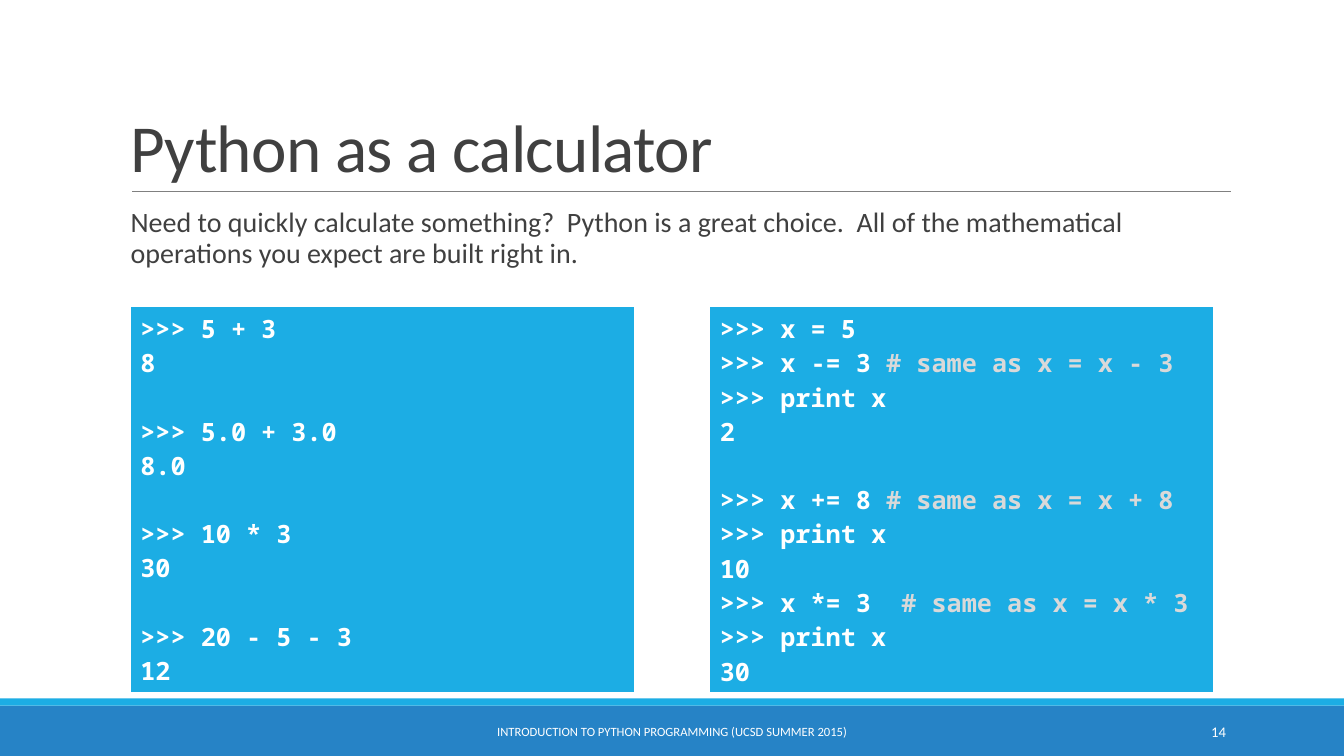
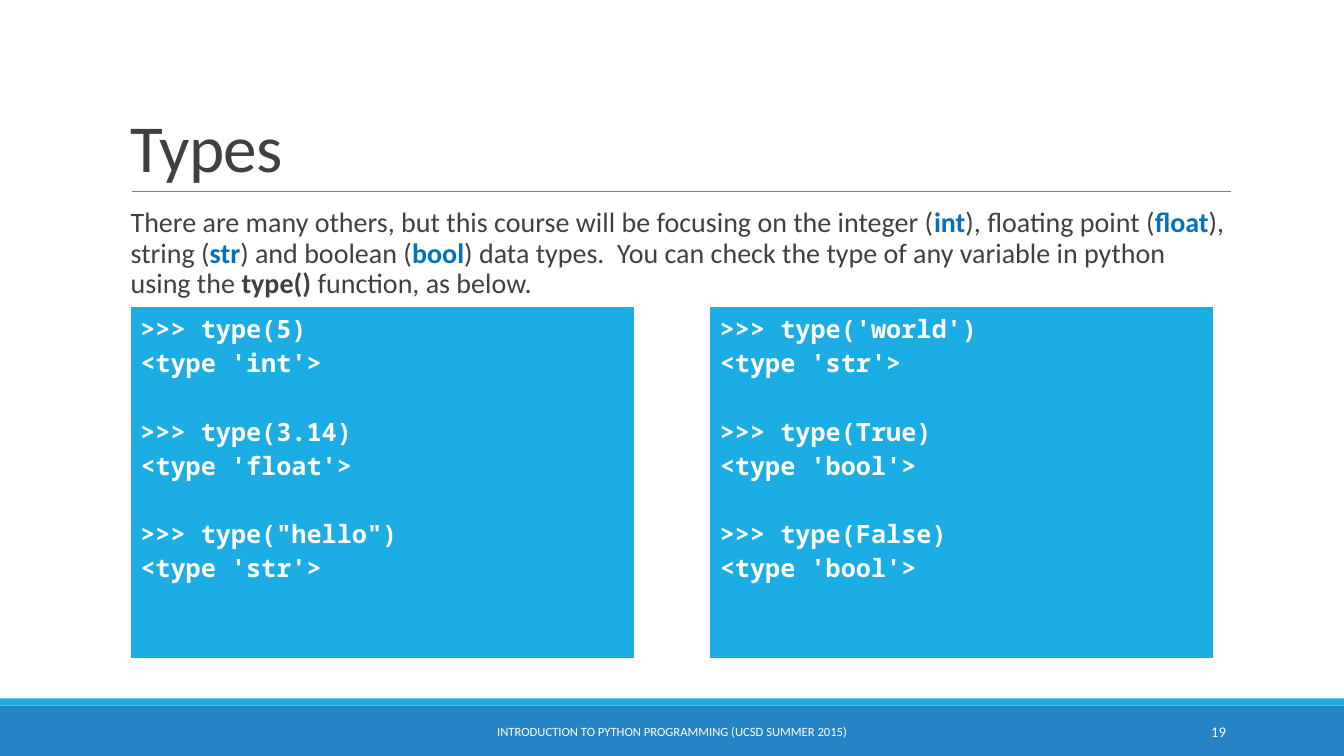
from dataclasses import dataclass

from lxml.etree import SubElement
from pptx import Presentation
from pptx.dml.color import RGBColor
from pptx.enum.shapes import MSO_CONNECTOR as Connector, MSO_SHAPE as Shape
from pptx.enum.text import MSO_ANCHOR as Anchor, PP_ALIGN as Align
from pptx.oxml import parse_xml
from pptx.oxml.ns import nsdecls, qn
from pptx.util import Emu, Pt


@dataclass(frozen=True)
class Theme:
    text_font: str = "Calibri"
    code_font: str = "Noto Sans Mono"
    ink: str = "404040"
    keyword: str = "0070C0"
    rule: str = "808080"
    band: str = "2683C6"
    accent: str = "1CADE4"
    white: str = "FFFFFF"
    comment: str = "D9D9D9"
    title_size: float = 48
    body_size: float = 20
    code_size: float = 18
    number_size: float = 10.5
    footer_size: float = 9
    code_gap: float = 24.3


THEME = Theme()
PAGE_WIDTH, PAGE_HEIGHT = 1280, 720
CODE_TOP, CODE_WIDTH = 292, 480
CODE_LEFTS = (124, 676)
SHORT_CODE, TALL_CODE = 336, 369
FOOTER = "INTRODUCTION TO PYTHON PROGRAMMING (UCSD SUMMER 2015)"

CALCULATOR_BODY = [
    ("Need to quickly calculate something?  Python is a great choice.  "
     "All of the mathematical operations you expect are built right in.", "plain"),
]
CALCULATOR_CODE = (
    """>>> 5 + 3
8

>>> 5.0 + 3.0
8.0

>>> 10 * 3
30

>>> 20 - 5 - 3
12""",
    """>>> x = 5
>>> x -= 3 # same as x = x - 3
>>> print x
2

>>> x += 8 # same as x = x + 8
>>> print x
10
>>> x *= 3  # same as x = x * 3
>>> print x
30""",
)
TYPES_BODY = [
    ("There are many others, but this course will be focusing on the integer (", "plain"),
    ("int", "keyword"),
    ("), floating point (", "plain"),
    ("float", "keyword"),
    ("), string (", "plain"),
    ("str", "keyword"),
    (") and boolean (", "plain"),
    ("bool", "keyword"),
    (") data types.  You can check the type of any variable in python using the ", "plain"),
    ("type()", "strong"),
    (" function, as below.", "plain"),
]
TYPES_CODE = (
    """>>> type(5)
<type 'int'>

>>> type(3.14)
<type 'float'>

>>> type("hello")
<type 'str'>""",
    """>>> type('world')
<type 'str'>

>>> type(True)
<type 'bool'>

>>> type(False)
<type 'bool'>""",
)


def px(*lengths):
    return [Emu(length * 9525) for length in lengths]


def set_font(font, name, size, color, bold=False):
    font.name = name
    font.size = Pt(size)
    font.bold = bold
    font.color.rgb = RGBColor.from_string(color)


def add_band(page, top, height, color):
    band = page.shapes.add_shape(Shape.RECTANGLE, *px(0, top, PAGE_WIDTH, height))
    band.shadow.inherit = False
    band.fill.solid()
    band.fill.fore_color.rgb = RGBColor.from_string(color)
    band.line.fill.background()


def add_rule(page, left, right, top):
    rule = page.shapes.add_connector(Connector.STRAIGHT, *px(left, top, right, top))
    rule.line.color.rgb = RGBColor.from_string(THEME.rule)
    rule.line.width = Pt(0.5)
    SubElement(rule._element.spPr, qn("a:effectLst"))


def add_text(page, place, size, color, text="", anchor=Anchor.TOP, align=Align.LEFT):
    box = page.shapes.add_textbox(*px(*place))
    frame = box.text_frame
    frame.word_wrap = True
    frame.vertical_anchor = anchor
    para = frame.paragraphs[0]
    para.alignment = align
    set_font(para.font, THEME.text_font, size, color)
    if text:
        para.add_run().text = text
    return box


def add_title(page, text):
    box = add_text(page, (115, 29, 1056, 153), THEME.title_size, THEME.ink, text, Anchor.BOTTOM)
    para = box.text_frame.paragraphs[0]
    para.line_spacing = 0.85
    para.runs[0].font._element.set("spc", "-50")


def add_body(page, spans):
    box = add_text(page, (115, 194, 1056, 422), THEME.body_size, THEME.ink)
    box.text_frame.margin_right = 0
    para = box.text_frame.paragraphs[0]
    para.line_spacing = 0.9
    para.space_after = Pt(2)
    for text, style in spans:
        span = para.add_run()
        span.text = text
        if style != "plain":
            span.font.bold = True
        if style == "keyword":
            span.font.color.rgb = RGBColor.from_string(THEME.keyword)


def set_borders(cell):
    properties = cell._tc.get_or_add_tcPr()
    for place, (side, points) in enumerate((("L", 1), ("R", 1), ("T", 1), ("B", 3))):
        properties.insert(place, parse_xml(
            f'<a:ln{side} {nsdecls("a")} w="{Pt(points)}"><a:solidFill>'
            f'<a:srgbClr val="{THEME.white}"/></a:solidFill></a:ln{side}>'))


def add_code_line(para, line):
    set_font(para.font, THEME.code_font, THEME.code_size, THEME.white, True)
    code, mark, comment = line.partition("#")
    para.add_run().text = code
    if mark:
        span = para.add_run()
        span.text = mark + comment
        span.font.color.rgb = RGBColor.from_string(THEME.comment)


def add_code(page, left, height, code):
    place = px(left, CODE_TOP, CODE_WIDTH, height)
    table = page.shapes.add_table(1, 1, *place).table
    table.first_row = table.horz_banding = False
    cell = table.cell(0, 0)
    cell.fill.solid()
    cell.fill.fore_color.rgb = RGBColor.from_string(THEME.accent)
    set_borders(cell)
    frame = cell.text_frame
    para = frame.paragraphs[0]
    for block_index, block in enumerate(code.split("\n\n")):
        for line_index, line in enumerate(block.split("\n")):
            if block_index or line_index:
                para = frame.add_paragraph()
            if block_index and not line_index:
                para.space_before = Pt(THEME.code_gap)
            add_code_line(para, line)


def add_page(deck, title, body, code_pair, code_height, number):
    page = deck.slides.add_slide(deck.slide_layouts[6])
    add_band(page, 672, 48, THEME.band)
    add_band(page, 665, 7, THEME.accent)
    add_rule(page, 126, 1172, 182)
    add_title(page, title)
    add_body(page, body)
    for left, code in zip(CODE_LEFTS, code_pair):
        add_code(page, left, code_height, code)
    add_text(page, (1040, 678, 137, 38), THEME.number_size, THEME.white,
             number, Anchor.MIDDLE, Align.RIGHT)
    add_text(page, (387, 678, 506, 38), THEME.footer_size, THEME.white,
             FOOTER, Anchor.MIDDLE, Align.CENTER)


def main():
    deck = Presentation()
    deck.slide_width, deck.slide_height = px(PAGE_WIDTH, PAGE_HEIGHT)
    add_page(deck, "Python as a calculator", CALCULATOR_BODY, CALCULATOR_CODE, TALL_CODE, "14")
    add_page(deck, "Types", TYPES_BODY, TYPES_CODE, SHORT_CODE, "19")
    deck.save("out.pptx")


if __name__ == "__main__":
    main()
